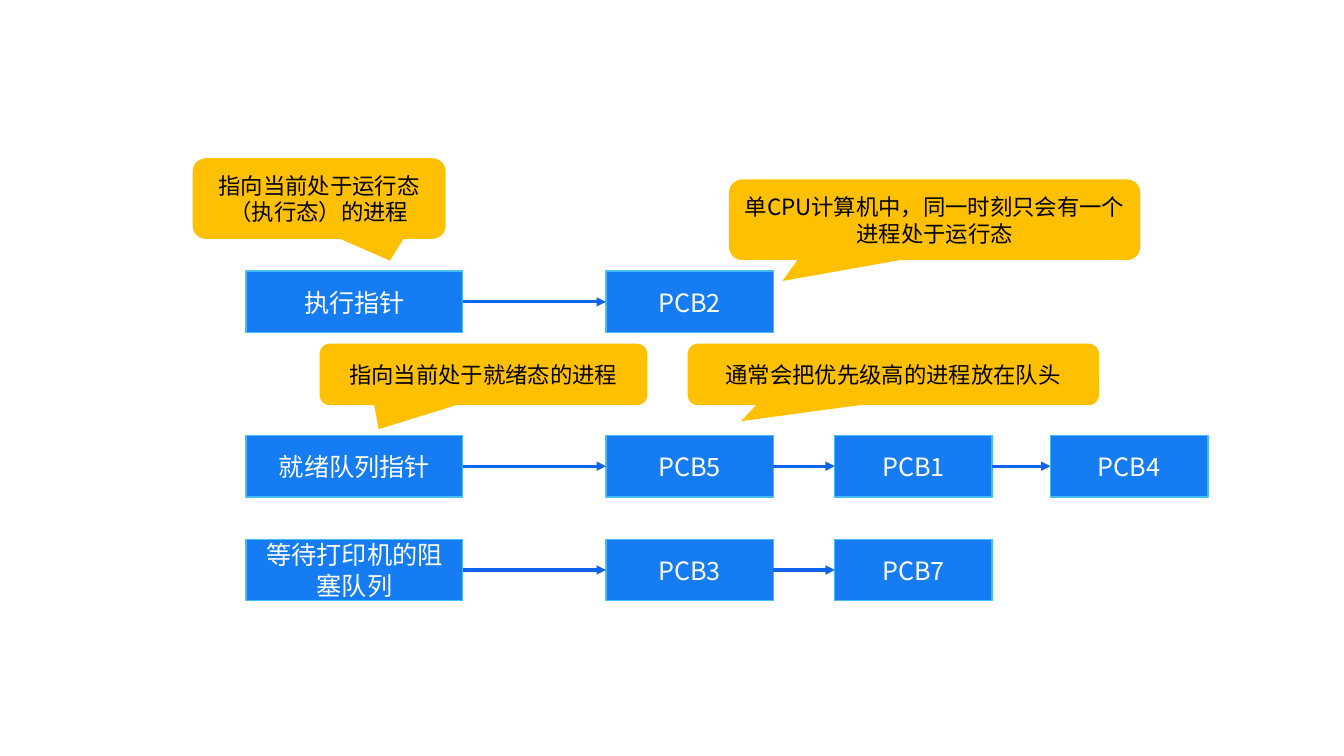
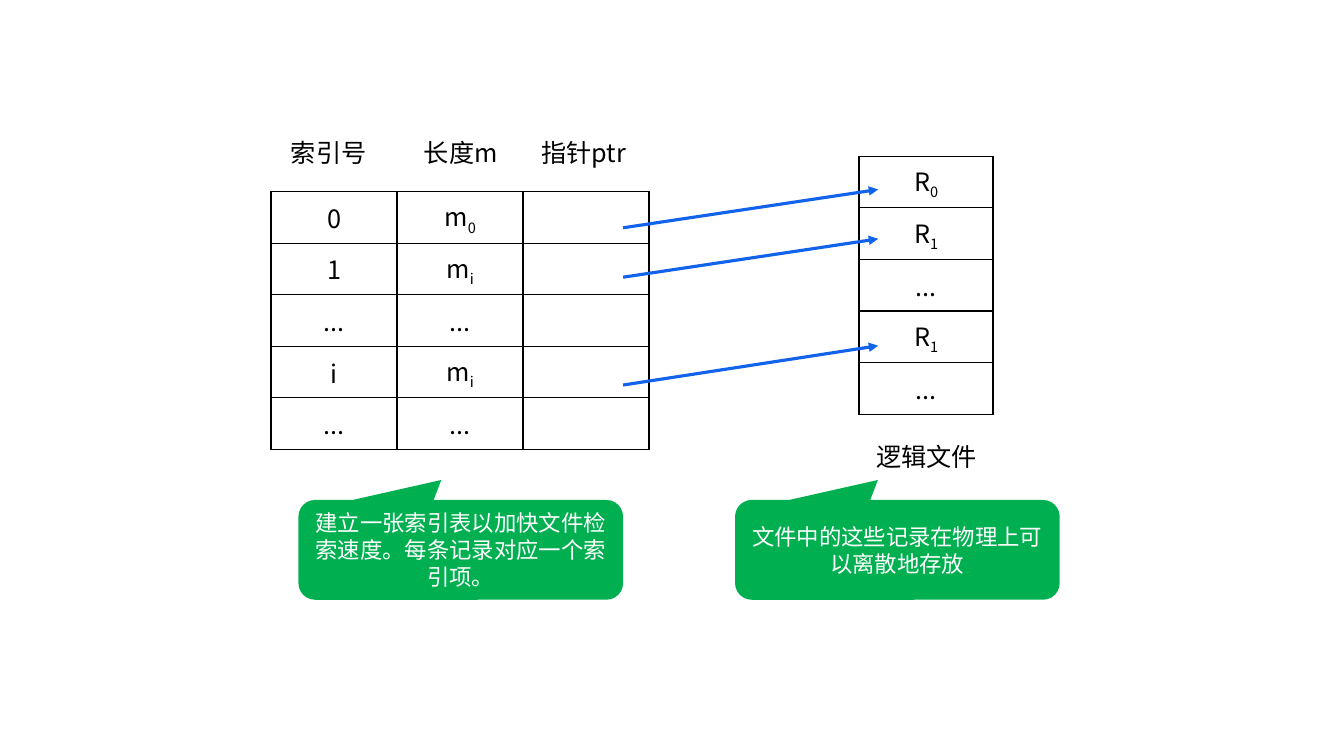
from lxml.etree import SubElement
from pptx import Presentation
from pptx.dml.color import RGBColor
from pptx.enum.shapes import MSO_CONNECTOR, MSO_SHAPE
from pptx.enum.text import MSO_ANCHOR, PP_ALIGN
from pptx.oxml import parse_xml
from pptx.oxml.ns import nsdecls, qn
from pptx.util import Inches, Pt

FONT = "Noto Sans CJK SC"
BLUE, BLUE_EDGE, ARROW = "157CF3", "45BEF5", "1163EB"
YELLOW, GREEN, BLACK, WHITE = "FFC000", "00B050", "000000", "FFFFFF"

BOX_H = 0.61
BOX_COLUMNS = [(2.44, 2.15), (6.01, 1.66), (8.28, 1.56), (10.42, 1.56)]
QUEUES = [
    (2.69, ["执行指针", "PCB2"]),
    (4.32, ["就绪队列指针", "PCB5", "PCB1", "PCB4"]),
    (5.35, ["等待打印机的阻塞队列", "PCB3", "PCB7"]),
]
QUEUE_NOTES = [
    ("指向当前处于运行态\n（执行态）的进程", (1.91, 1.57, 2.51, 0.8), (0.28, 0.77)),
    ("指向当前处于就绪态的进程", (3.17, 3.41, 3.25, 0.61), (-0.32, 0.89)),
    ("通常会把优先级高的进程放在队头", (6.82, 3.41, 4.08, 0.61), (-0.37, 0.76)),
    ("单CPU计算机中，同一时刻只会有一个进程处于运行态", (7.23, 1.78, 4.08, 0.8), (-0.37, 0.76)),
]

ROW_H = 2.56 / 5
INDEX_ROWS = [
    ["0", "m_0", ""],
    ["1", "m_i", ""],
    ["...", "...", ""],
    ["i", "m_i", ""],
    ["...", "...", ""],
]
RECORD_ROWS = [["R_0"], ["R_1"], ["..."], ["R_1"], ["..."]]
LABELS = [
    ("索引号", 2.61, 1.31),
    ("长度m", 3.92, 1.31),
    ("指针ptr", 5.14, 1.31),
    ("逻辑文件", 8.54, 4.33),
]
POINTERS = [(2.26, 1.88), (2.75, 2.37), (3.82, 3.43)]
FILE_NOTES = [
    ("建立一张索引表以加快文件检索速度。每条记录对应一个索引项。", (2.96, 4.96, 3.22, 0.99), (-0.06, -0.7)),
    ("文件中的这些记录在物理上可以离散地存放", (7.29, 4.96, 3.22, 0.99), (-0.06, -0.7)),
]


def rgb(value):
    return RGBColor.from_string(value)


def format_text(tf, size, color):
    tf.word_wrap = True
    for p in tf.paragraphs:
        p.alignment = PP_ALIGN.CENTER
        for r in p.runs:
            r.font.size = Pt(size)
            r.font.color.rgb = rgb(color)
            r.font.name = FONT
            SubElement(r.font._element, qn("a:ea"), typeface=FONT)


def add_block(s, preset, text, at, fill, size, color):
    sp = s.shapes.add_shape(preset, *map(Inches, at))
    sp.shadow.inherit = False
    sp.fill.solid()
    sp.fill.fore_color.rgb = rgb(fill)
    sp.line.fill.background()
    tf = sp.text_frame
    tf.text = text
    tf.vertical_anchor = MSO_ANCHOR.MIDDLE
    format_text(tf, size, color)
    return sp


def add_box(s, text, at):
    sp = add_block(s, MSO_SHAPE.RECTANGLE, text, at, BLUE, 18, WHITE)
    sp.line.color.rgb = rgb(BLUE_EDGE)
    sp.line.width = Pt(1)
    return sp


def add_callouts(s, notes, fill, color):
    for text, at, tip in notes:
        sp = add_block(s, MSO_SHAPE.ROUNDED_RECTANGULAR_CALLOUT, text, at, fill, 16, color)
        sp.adjustments[0], sp.adjustments[1] = tip


def add_arrow(s, x1, y1, x2, y2):
    line = s.shapes.add_connector(MSO_CONNECTOR.STRAIGHT, *map(Inches, (x1, y1, x2, y2)))
    line.line.color.rgb = rgb(ARROW)
    line.line.width = Pt(2.25)
    SubElement(line.line._get_or_add_ln(), qn("a:tailEnd"), type="triangle")
    SubElement(line._element.spPr, qn("a:effectLst"))
    return line


def add_label(s, text, x, y):
    tf = s.shapes.add_textbox(*map(Inches, (x, y, 1.3, 0.4))).text_frame
    tf.text = text
    format_text(tf, 18, BLACK)


def set_borders(cell):
    tcPr = cell._tc.get_or_add_tcPr()
    for i, (side, width) in enumerate([("L", 1.5), ("R", 1.5), ("T", 1), ("B", 1)]):
        tcPr.insert(i, parse_xml(
            f'<a:ln{side} {nsdecls("a")} w="{Pt(width)}"><a:solidFill>'
            f'<a:srgbClr val="{BLACK}"/></a:solidFill></a:ln{side}>'))


def add_grid(s, rows, x, y, col_w):
    n = len(rows[0])
    size = (x, y, col_w * n, ROW_H * len(rows))
    table = s.shapes.add_table(len(rows), n, *map(Inches, size)).table
    table.first_row = table.horz_banding = False
    for column in table.columns:
        column.width = Inches(col_w)
    for i, row in enumerate(rows):
        table.rows[i].height = Inches(ROW_H)
        for j, text in enumerate(row):
            cell = table.cell(i, j)
            cell.vertical_anchor = MSO_ANCHOR.MIDDLE
            cell.fill.solid()
            cell.fill.fore_color.rgb = rgb(WHITE)
            set_borders(cell)
            if not text:
                continue
            base, _, sub = text.partition("_")
            p = cell.text_frame.paragraphs[0]
            p.add_run().text = base
            if sub:
                r = p.add_run()
                r.text = sub
                r.font._element.set("baseline", "-25000")
            format_text(cell.text_frame, 18, BLACK)


def build_queues(s):
    for y, names in QUEUES:
        boxes = [add_box(s, name, (x, y, w, BOX_H)) for name, (x, w) in zip(names, BOX_COLUMNS)]
        for left, right in zip(boxes, boxes[1:]):
            arrow = add_arrow(s, 0, 0, 1, 1)
            arrow.begin_connect(left, 3)
            arrow.end_connect(right, 1)
    add_callouts(s, QUEUE_NOTES, YELLOW, BLACK)


def build_index(s):
    add_grid(s, INDEX_ROWS, 2.69, 1.9, 1.25)
    add_grid(s, RECORD_ROWS, 8.52, 1.55, 1.33)
    for text, x, y in LABELS:
        add_label(s, text, x, y)
    for start, end in POINTERS:
        add_arrow(s, 6.18, start, 8.71, end)
    add_callouts(s, FILE_NOTES, GREEN, WHITE)


def main():
    prs = Presentation()
    prs.slide_width, prs.slide_height = Inches(13.33), Inches(7.5)
    for build in (build_queues, build_index):
        build(prs.slides.add_slide(prs.slide_layouts[6]))
    prs.save("out.pptx")


if __name__ == "__main__":
    main()
